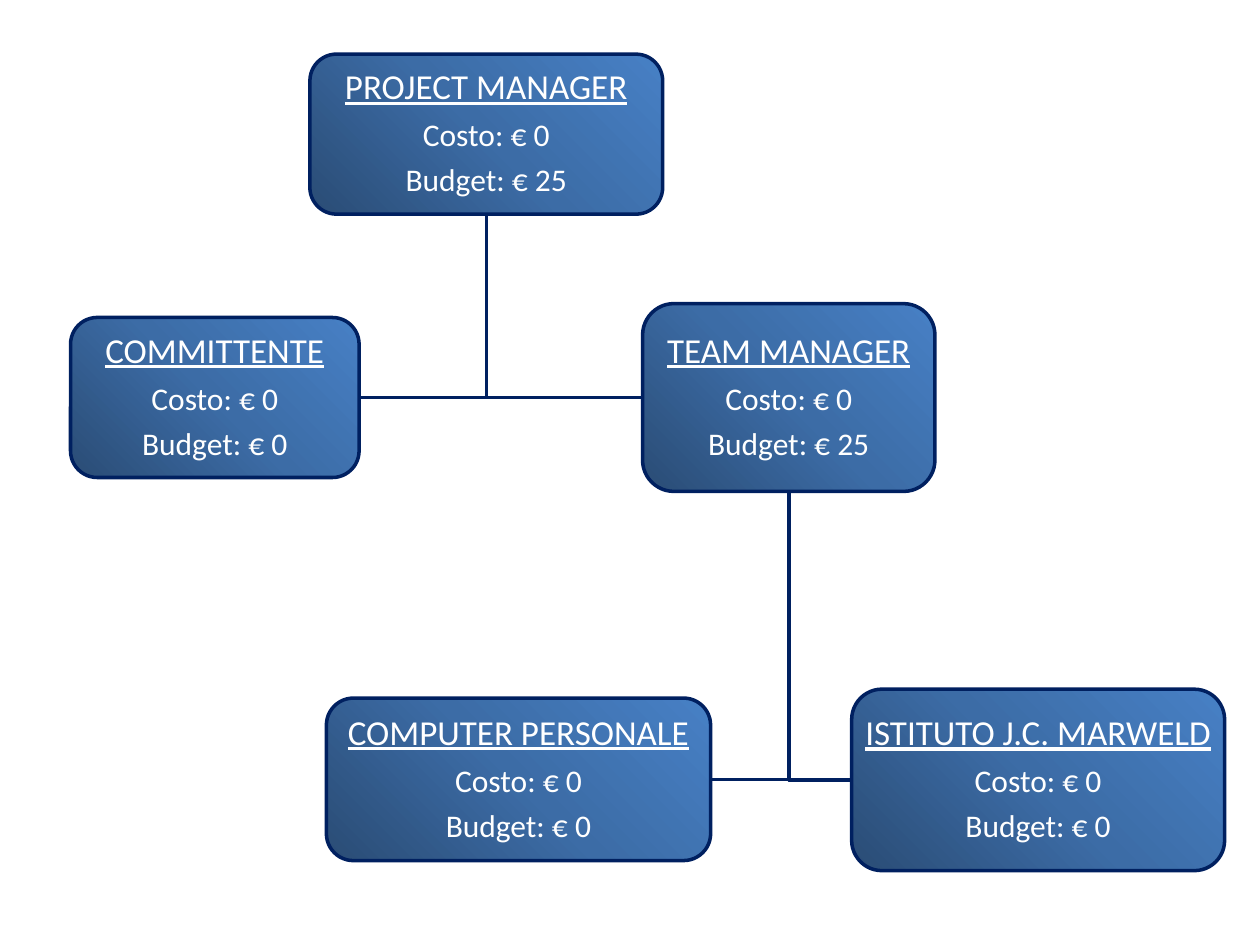
from dataclasses import dataclass

from lxml import etree
from pptx import Presentation
from pptx.dml.color import RGBColor
from pptx.enum import shapes, text
from pptx.oxml import parse_xml
from pptx.oxml.ns import nsdecls, qn
from pptx.util import Inches, Pt

NAVY = RGBColor(0x00, 0x20, 0x60)
WHITE = RGBColor(0xFF, 0xFF, 0xFF)
GRADIENT = {
    0: RGBColor(0x2A, 0x4C, 0x75),
    50: RGBColor(0x3C, 0x6C, 0xA6),
    100: RGBColor(0x47, 0x80, 0xC5),
}
FONT = "Calibri"
LINE_WIDTH = Pt(2)
BOX_MARGIN = Inches(0.01)


@dataclass(frozen=True)
class Role:
    """One box of the chart; lengths in inches, money in euros."""

    name: str
    left: float
    top: float
    width: float
    height: float
    budget: int = 0
    cost: int = 0

    @property
    def center(self) -> float:
        return self.left + self.width / 2

    @property
    def middle(self) -> float:
        return self.top + self.height / 2

    @property
    def right(self) -> float:
        return self.left + self.width

    @property
    def bottom(self) -> float:
        return self.top + self.height


PROJECT_MANAGER = Role("PROJECT MANAGER", 2.46, 0.43, 2.8, 1.27, budget=25)
CLIENT = Role("COMMITTENTE", 0.56, 2.52, 2.29, 1.27)
TEAM_MANAGER = Role("TEAM MANAGER", 5.1, 2.41, 2.32, 1.49, budget=25)
COMPUTER = Role("COMPUTER PERSONALE", 2.59, 5.54, 3.05, 1.29)
INSTITUTE = Role("ISTITUTO J.C. MARWELD", 6.76, 5.47, 2.96, 1.44)

ROLES = [PROJECT_MANAGER, CLIENT, TEAM_MANAGER, COMPUTER, INSTITUTE]
LINKS = [
    (TEAM_MANAGER, INSTITUTE),
    (TEAM_MANAGER, COMPUTER),
    (PROJECT_MANAGER, TEAM_MANAGER),
    (PROJECT_MANAGER, CLIENT),
]


def set_outline(shape) -> None:
    """Give a shape the navy outline and no shadow."""
    shape.shadow.inherit = False
    shape.line.color.rgb = NAVY
    shape.line.width = LINE_WIDTH


def set_radial_gradient(shape) -> None:
    """Fill a shape with the gradient that spreads from its lower left corner."""
    shape.fill.background()
    stops = "".join(
        f'<a:gs pos="{place * 1000}"><a:srgbClr val="{color}"/></a:gs>'
        for place, color in GRADIENT.items()
    )
    gradient = parse_xml(
        f'<a:gradFill {nsdecls("a")} rotWithShape="1"><a:gsLst>{stops}</a:gsLst>'
        '<a:path path="circle"><a:fillToRect t="100000" r="100000"/></a:path>'
        "</a:gradFill>"
    )
    properties: etree.ElementBase = shape.element.spPr
    properties.replace(properties.find(qn("a:noFill")), gradient)


def write_paragraph(para, wording: str, *, size: int, underline: bool = False) -> None:
    """Write one centred line of text into a paragraph."""
    para.alignment = text.PP_ALIGN.CENTER
    para.line_spacing = 0.9
    para.space_after = Pt(round(0.35 * size, 1))
    span = para.add_run()
    span.text = wording
    span.font.name = FONT
    span.font.size = Pt(size)
    span.font.underline = underline
    span.font.color.rgb = WHITE


def add_link(page, parent: Role, child: Role) -> None:
    """Draw the elbow from below a parent to the near side of its child."""
    side = child.left if child.left > parent.center else child.right
    builder = page.shapes.build_freeform(
        Inches(parent.center), Inches(parent.bottom)
    )
    corner = (Inches(parent.center), Inches(child.middle))
    end = (Inches(side), Inches(child.middle))
    builder.add_line_segments([corner, end], close=False)
    elbow = builder.convert_to_shape()
    elbow.fill.background()
    set_outline(elbow)


def add_role(page, role: Role) -> None:
    """Draw the rounded box of a role with its name, cost and budget."""
    box = page.shapes.add_shape(
        shapes.MSO_SHAPE.ROUNDED_RECTANGLE,
        Inches(role.left), Inches(role.top), Inches(role.width), Inches(role.height),
    )
    set_outline(box)
    set_radial_gradient(box)
    frame = box.text_frame
    frame.word_wrap = True
    frame.vertical_anchor = text.MSO_ANCHOR.MIDDLE
    frame.margin_left = frame.margin_right = BOX_MARGIN
    frame.margin_top = frame.margin_bottom = BOX_MARGIN
    write_paragraph(frame.paragraphs[0], role.name, size=20, underline=True)
    for label, amount in (("Costo", role.cost), ("Budget", role.budget)):
        write_paragraph(frame.add_paragraph(), f"{label}: € {amount}", size=18)


def main() -> None:
    """Build the organisation chart and save it."""
    deck = Presentation()
    deck.slide_width, deck.slide_height = Inches(10), Inches(7.5)
    page = deck.slides.add_slide(deck.slide_layouts.get_by_name("Blank"))
    for parent, child in LINKS:
        add_link(page, parent, child)
    for role in ROLES:
        add_role(page, role)
    deck.save("out.pptx")


main()
